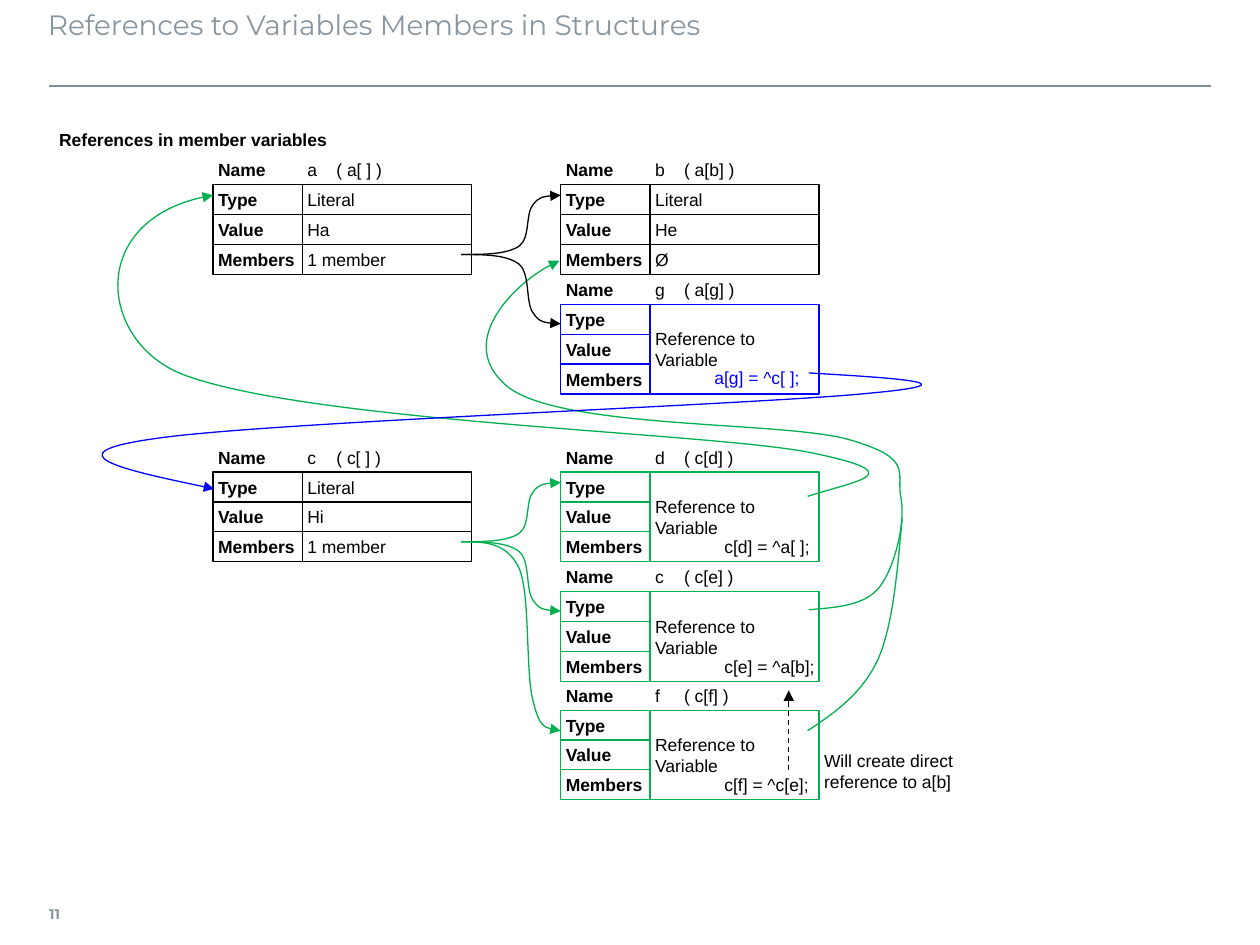
import pptx
import pptx.dml.color
import pptx.enum.dml
import pptx.enum.shapes
import pptx.enum.text
import pptx.oxml
import pptx.oxml.ns
import pptx.util
import lxml.etree

Inches = pptx.util.Inches
color = pptx.dml.color.RGBColor.from_string
qn = pptx.oxml.ns.qn

BLACK, GREEN, BLUE, GRAY = "000000", "00B050", "0000FF", "8996A0"
ROW = 0.71 / 3
LABEL_WIDTH, VALUE_WIDTH = 0.71, 1.34
LEFT_X, RIGHT_X = 1.69, 4.45

presentation = pptx.Presentation()
presentation.slide_width = Inches(10)
presentation.slide_height = Inches(7.5)
slide = presentation.slides.add_slide(presentation.slide_layouts[6])


def style_line(shape, line_color, width=0.75, arrow=False, dashed=False):
    shape.line.color.rgb = color(line_color)
    shape.line.width = pptx.util.Pt(width)
    if dashed:
        shape.line.dash_style = pptx.enum.dml.MSO_LINE.DASH
    properties = shape.element.spPr
    if arrow:
        outline = properties.find(qn("a:ln"))
        lxml.etree.SubElement(outline, qn("a:tailEnd"), type="triangle")
    lxml.etree.SubElement(properties, qn("a:effectLst"))


def add_box(left, top, width, height, lines, line_color=None, bold=False,
            text_color=BLACK, size=10, font="Arial", anchor="MIDDLE",
            insets=(0.04, 0.04, 0.04, 0.04), tab=None):
    place = [Inches(value) for value in (left, top, width, height)]
    if line_color:
        shape = slide.shapes.add_shape(
            pptx.enum.shapes.MSO_SHAPE.RECTANGLE, *place)
        shape.fill.background()
        style_line(shape, line_color)
    else:
        shape = slide.shapes.add_textbox(*place)
    frame = shape.text_frame
    frame.word_wrap = False
    frame.vertical_anchor = pptx.enum.text.MSO_ANCHOR[anchor]
    (frame.margin_left, frame.margin_top,
     frame.margin_right, frame.margin_bottom) = map(Inches, insets)
    for index, line in enumerate(lines):
        paragraph = frame.add_paragraph() if index else frame.paragraphs[0]
        paragraph.alignment = pptx.enum.text.PP_ALIGN.LEFT
        if tab:
            tabs = lxml.etree.SubElement(
                paragraph._p.get_or_add_pPr(), qn("a:tabLst"))
            lxml.etree.SubElement(
                tabs, qn("a:tab"), pos=str(Inches(tab)), algn="l")
        run = paragraph.add_run()
        run.text = line
        run.font.size = pptx.util.Pt(size)
        run.font.name = font
        run.font.bold = bold
        run.font.color.rgb = color(text_color)


# Title, rule, page number and side heading
add_box(0.38, 0.01, 9.21, 0.63, ["References to Variables Members in Structures"],
        text_color=GRAY, size=16, font="Montserrat", anchor="TOP",
        insets=(0, 0.05, 0.1, 0.05))
add_box(0.39, 7.06, 0.35, 0.39, ["11"], text_color=GRAY, size=8, bold=True,
        font="Montserrat", insets=(0, 0.05, 0.08, 0.05))
rule = slide.shapes.add_connector(
    pptx.enum.shapes.MSO_CONNECTOR.STRAIGHT,
    Inches(0.39), Inches(0.68), Inches(9.61), Inches(0.68))
style_line(rule, "808D97", width=1)
add_box(0.43, 0.99, 2.4, ROW, ["References in member variables"], bold=True)

# Variable records: a name row above three property rows
REFERENCE = ["Reference to", "Variable"]
records = [
    (LEFT_X, 1.23, BLACK, "a\t( a[ ] )", ["Literal", "Ha", "1 member"]),
    (RIGHT_X, 1.23, BLACK, "b\t( a[b] )", ["Literal", "He", "Ø"]),
    (RIGHT_X, 2.18, BLUE, "g\t( a[g] )", REFERENCE),
    (LEFT_X, 3.51, BLACK, "c\t( c[ ] )", ["Literal", "Hi", "1 member"]),
    (RIGHT_X, 3.51, GREEN, "d\t( c[d] )", REFERENCE),
    (RIGHT_X, 4.46, GREEN, "c\t( c[e] )", REFERENCE),
    (RIGHT_X, 5.40, GREEN, "f\t( c[f] )", REFERENCE),
]
for left, top, line_color, name, values in records:
    value_left = left + LABEL_WIDTH
    add_box(left, top, LABEL_WIDTH, ROW, ["Name"], bold=True)
    add_box(value_left, top, VALUE_WIDTH, ROW, [name], tab=0.23)
    for row, label in enumerate(["Type", "Value", "Members"], start=1):
        add_box(left, top + row * ROW, LABEL_WIDTH, ROW, [label], line_color, bold=True)
    if values is REFERENCE:
        add_box(value_left, top + ROW, VALUE_WIDTH, 3 * ROW, values, line_color)
    else:
        for row, value in enumerate(values, start=1):
            add_box(value_left, top + row * ROW, VALUE_WIDTH, ROW, [value], line_color)

# Long reference curves: color, arrow, extent, start and Bezier points
curves = [
    (GREEN, True, (0.94, 1.55, 5.95, 2.4),
     [(6.41, 3.94), (6.81, 3.81), (7.26, 3.76), (6.42, 3.59), (5.59, 3.43),
      (2.38, 3.35), (1.42, 2.96), (0.78, 2.68), (0.7, 1.71), (1.69, 1.55)]),
    (GREEN, True, (3.87, 2.07, 3.29, 2.77),
     [(6.42, 4.84), (6.64, 4.82), (6.86, 4.81), (6.98, 4.66), (7.1, 4.51),
      (7.19, 4.14), (7.15, 3.95), (7.11, 3.75), (7.26, 3.64), (6.74, 3.49),
      (6.22, 3.34), (4.46, 3.41), (4.03, 3.07), (3.61, 2.73), (4.12, 2.2),
      (4.44, 2.07)]),
    (GREEN, False, (6.41, 4.12, 0.75, 1.68),
     [(6.41, 5.8), (6.62, 5.66), (6.84, 5.51), (6.97, 5.23), (7.09, 4.95),
      (7.12, 4.54), (7.16, 4.12)]),
    (BLUE, True, (0.83, 2.96, 6.49, 0.92),
     [(6.42, 2.96), (7.09, 3), (7.77, 3.04), (6.91, 3.12), (6.04, 3.21),
      (2.11, 3.35), (1.24, 3.48), (0.37, 3.6), (1.03, 3.74), (1.7, 3.88)]),
]

# Member branches share one S-shaped profile, stretched to each target
BRANCH_X = [3.66, 3.84, 4.02, 4.12, 4.21, 4.17, 4.23, 4.28, 4.37, 4.45]
BRANCH_RISE = [0, 0, 0, 0.14, 0.28, 0.69, 0.84, 0.98, 1, 1]
for line_color, start, end in [(BLACK, 2.02, 1.55), (BLACK, 2.02, 2.57),
                               (GREEN, 4.3, 3.83), (GREEN, 4.3, 4.85),
                               (GREEN, 4.3, 5.8)]:
    points = [(x, start + rise * (end - start))
              for x, rise in zip(BRANCH_X, BRANCH_RISE)]
    extent = (3.66, min(start, end), 0.79, abs(end - start))
    curves.append((line_color, True, extent, points))

# Each freeform spans its extent, then gets its Bezier segments
for line_color, arrow, (left, top, width, height), points in curves:
    builder = slide.shapes.build_freeform(Inches(left), Inches(top))
    builder.add_line_segments(
        [(Inches(left + width), Inches(top + height))], close=False)
    curve = builder.convert_to_shape()
    curve.fill.background()
    style_line(curve, line_color, arrow=arrow)
    outline_path = curve.element.spPr.find(".//" + qn("a:path"))
    for segment in list(outline_path):
        outline_path.remove(segment)
    for index, (x, y) in enumerate(points):
        if index == 0:
            segment = lxml.etree.SubElement(outline_path, qn("a:moveTo"))
        elif index % 3 == 1:
            segment = lxml.etree.SubElement(outline_path, qn("a:cubicBezTo"))
        lxml.etree.SubElement(segment, qn("a:pt"),
                              x=str(Inches(x - left)), y=str(Inches(y - top)))

# Assignment statements and remark
for left, top, statement, text_color in [
        (5.63, 2.88, "a[g] = ^c[ ];", BLUE),
        (5.71, 4.22, "c[d] = ^a[ ];", BLACK),
        (5.71, 5.17, "c[e] = ^a[b];", BLACK),
        (5.71, 6.11, "c[f] = ^c[e];", BLACK)]:
    add_box(left, top, 0.9, ROW, [statement], text_color=text_color)
add_box(6.5, 5.88, 1.18, 2 * ROW, ["Will create direct", "reference to a[b]"])

# Dashed arrow from c[f] up to c[e]
dashed_arrow = slide.shapes.add_connector(
    pptx.enum.shapes.MSO_CONNECTOR.STRAIGHT,
    Inches(6.26), Inches(6.11), Inches(6.26), Inches(5.48))
style_line(dashed_arrow, BLACK, arrow=True, dashed=True)

presentation.save("out.pptx")
